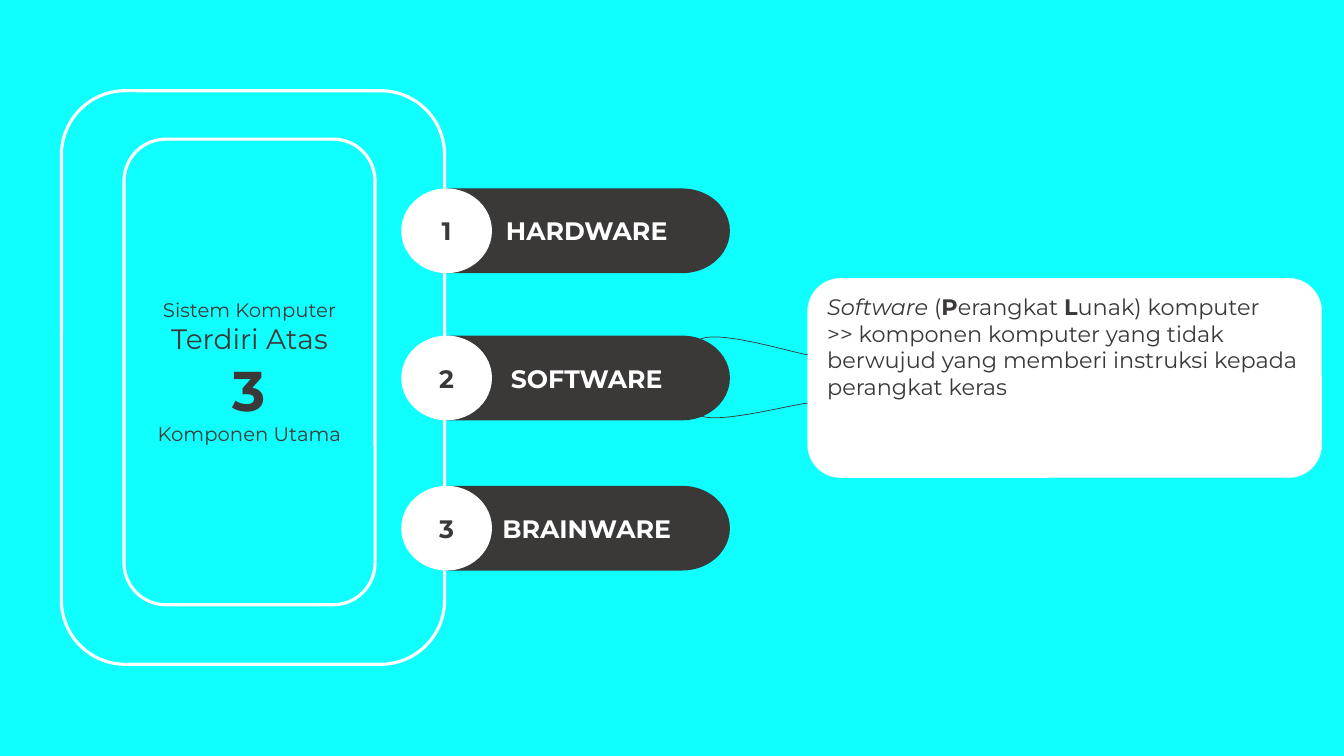
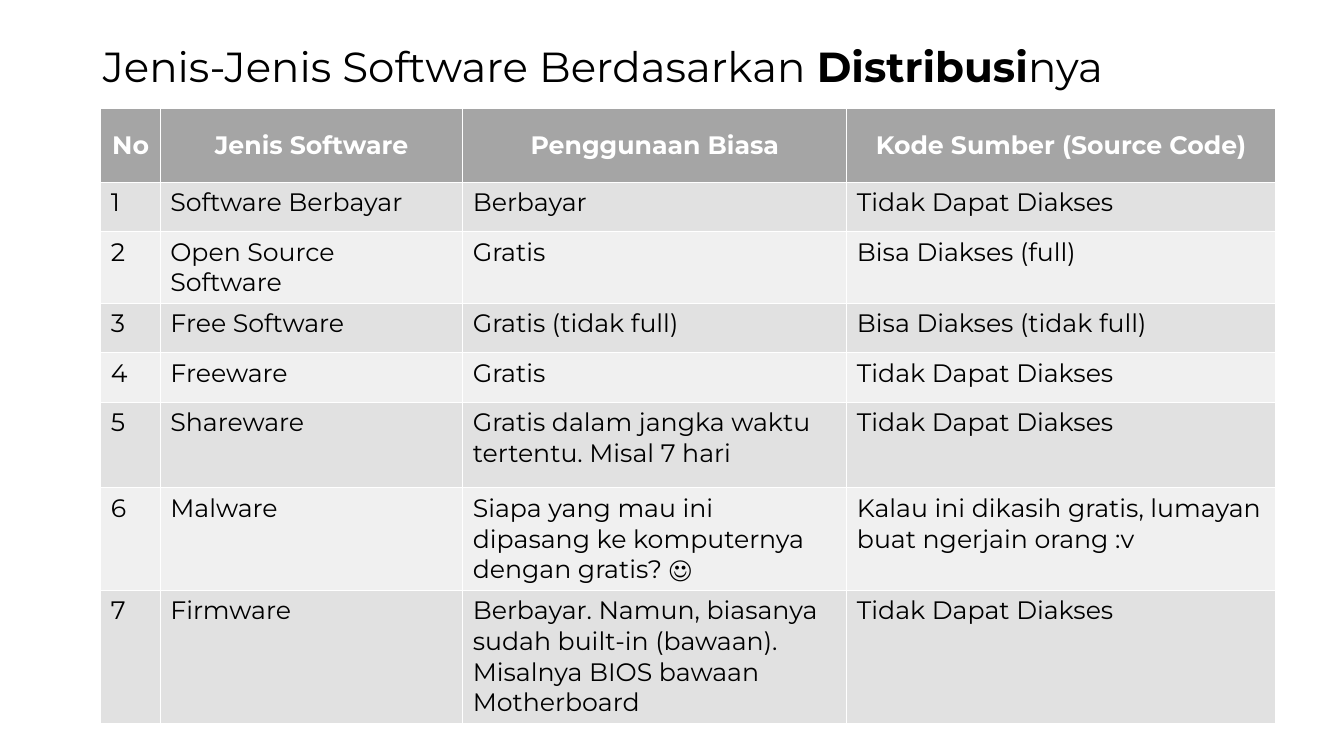
from pptx import Presentation
from pptx.dml.color import RGBColor
from pptx.enum.shapes import MSO_SHAPE
from pptx.enum.text import MSO_ANCHOR, MSO_AUTO_SIZE, PP_ALIGN
from pptx.util import Inches, Pt

CYAN = RGBColor(0x0F, 0xFF, 0xFF)
WHITE = RGBColor(0xFF, 0xFF, 0xFF)
BLACK = RGBColor(0x00, 0x00, 0x00)
DARK = RGBColor(0x3B, 0x38, 0x38)
PALE = RGBColor(0xF2, 0xF2, 0xF2)
HEADER = RGBColor(0xA5, 0xA5, 0xA5)
BANDS = [RGBColor(0xE1, 0xE1, 0xE1), RGBColor(0xF0, 0xF0, 0xF0)]
FONT = "Montserrat"


def write(tf, paragraphs, size, color, align=PP_ALIGN.LEFT, anchor=MSO_ANCHOR.MIDDLE):
    """Fill a text frame; each paragraph is a list of (text, font overrides)."""
    tf.word_wrap = True
    tf.vertical_anchor = anchor
    for i, runs in enumerate(paragraphs):
        p = tf.add_paragraph() if i else tf.paragraphs[0]
        p.alignment = align
        for text, overrides in runs:
            r = p.add_run()
            r.text = text
            r.font.color.rgb = color
            style = {"name": FONT, "size": Pt(size), "bold": False} | overrides
            for name, value in style.items():
                setattr(r.font, name, value)


def add_box(s, kind, left, top, width, height, fill, line=None, line_width=0):
    sp = s.shapes.add_shape(kind, Inches(left), Inches(top), Inches(width), Inches(height))
    sp.shadow.inherit = False
    sp.fill.solid()
    sp.fill.fore_color.rgb = fill
    if line is None:
        sp.line.fill.background()
    else:
        sp.line.color.rgb = line
        sp.line.width = Pt(line_width)
    return sp


prs = Presentation()
prs.slide_width, prs.slide_height = Inches(13.33), Inches(7.5)
bold, italic = {"bold": True}, {"italic": True}

# Slide 1: the three components of a computer system
s = prs.slides.add_slide(prs.slide_layouts[6])
s.background.fill.solid()
s.background.fill.fore_color.rgb = CYAN

add_box(s, MSO_SHAPE.ROUNDED_RECTANGLE, 0.61, 0.9, 3.8, 5.69, CYAN, WHITE, 2.25)
panel = add_box(s, MSO_SHAPE.ROUNDED_RECTANGLE, 1.23, 1.38, 2.49, 4.62, CYAN, WHITE, 2.25)
write(panel.text_frame, [
    [("Sistem Komputer", {})],
    [("Terdiri Atas", {"size": Pt(20)})],
    [("3", {"size": Pt(40), "bold": True})],
    [("Komponen Utama", {})],
], 14, DARK, PP_ALIGN.CENTER)

components = [("HARDWARE", 1.87), ("SOFTWARE", 3.33), ("BRAINWARE", 4.82)]
for number, (label, top) in enumerate(components, 1):
    pill = add_box(s, MSO_SHAPE.FLOWCHART_STORED_DATA, 4.4, top, 2.84, 0.84, DARK)
    pill._element.spPr.xfrm.set("flipH", "1")
    pill.text_frame.margin_left = pill.text_frame.margin_right = 0
    write(pill.text_frame, [[(label, bold)]], 18, WHITE, PP_ALIGN.CENTER)
    badge = add_box(s, MSO_SHAPE.OVAL, 3.98, top, 0.9, 0.84, WHITE)
    write(badge.text_frame, [[(str(number), bold)]], 18, DARK, PP_ALIGN.CENTER)

callout = add_box(s, MSO_SHAPE.ROUNDED_RECTANGLE, 8.01, 2.76, 5.1, 1.98, WHITE, PALE, 0.25)
write(callout.text_frame, [
    [("Software", italic), (" (", {}), ("P", bold), ("erangkat ", {}),
     ("L", bold), ("unak) komputer", {})],
    [(">> komponen komputer yang tidak berwujud yang memberi instruksi kepada "
      "perangkat keras", {})],
], 16, DARK, anchor=MSO_ANCHOR.TOP)

# Callout tails: two joined cubic Bézier curves each, drawn in short steps
tails = [
    [(6.81, 4), (6.78, 3.72), (6.76, 3.45), (6.96, 3.36), (7.16, 3.28), (7.87, 3.5), (8.01, 3.52)],
    [(6.81, 3.6), (6.78, 3.83), (6.76, 4.06), (6.96, 4.13), (7.16, 4.2), (7.87, 4.01), (8.01, 4)],
]
STEPS = 16
for controls in tails:
    points = []
    for first in (0, 3):
        for step in range(1, STEPS + 1):
            t = step / STEPS
            weights = [(1 - t) ** 3, 3 * t * (1 - t) ** 2, 3 * t ** 2 * (1 - t), t ** 3]
            points.append([Inches(sum(w * c[axis] for w, c in zip(weights, controls[first:first + 4])))
                           for axis in (0, 1)])
    x, y = controls[0]
    builder = s.shapes.build_freeform(Inches(x), Inches(y))
    builder.add_line_segments(points, close=False)
    tail = builder.convert_to_shape()
    tail.shadow.inherit = False
    tail.fill.background()
    tail.line.color.rgb = DARK
    tail.line.width = Pt(0.5)

# Slide 2: kinds of software by distribution
s = prs.slides.add_slide(prs.slide_layouts[5])
s.background.fill.solid()
s.background.fill.fore_color.rgb = WHITE
title = s.shapes.title
title.left, title.top, title.width, title.height = (Inches(v) for v in (0.92, 0.28, 11.5, 0.8))
title.text_frame.auto_size = MSO_AUTO_SIZE.NONE
write(title.text_frame, [[("Jenis-Jenis Software Berdasarkan ", {}), ("Distribusi", bold), ("nya", {})]],
      30, BLACK)
title.text_frame.paragraphs[0].line_spacing = 0.9

rows = [
    ("No", "Jenis Software", "Penggunaan Biasa", "Kode Sumber (Source Code)"),
    ("1", "Software Berbayar", "Berbayar", "Tidak Dapat Diakses"),
    ("2", "Open Source Software", "Gratis", "Bisa Diakses (full)"),
    ("3", "Free Software", "Gratis (tidak full)", "Bisa Diakses (tidak full)"),
    ("4", "Freeware", "Gratis", "Tidak Dapat Diakses"),
    ("5", "Shareware", "Gratis dalam jangka waktu tertentu. Misal 7 hari", "Tidak Dapat Diakses"),
    ("6", "Malware", "Siapa yang mau ini dipasang ke komputernya dengan gratis? ☺",
     "Kalau ini dikasih gratis, lumayan buat ngerjain orang :v"),
    ("7", "Firmware",
     "Berbayar. Namun, biasanya sudah built-in (bawaan). Misalnya BIOS bawaan Motherboard",
     "Tidak Dapat Diakses"),
]
heights = [0.73, 0.49, 0.71, 0.49, 0.49, 0.85, 1.01, 1.31]
widths = [0.59, 3, 3.81, 4.25]
table = s.shapes.add_table(len(rows), len(widths), Inches(1), Inches(1.08),
                           Inches(sum(widths)), Inches(sum(heights))).table
for column, width in zip(table.columns, widths):
    column.width = Inches(width)
for i, (texts, height) in enumerate(zip(rows, heights)):
    table.rows[i].height = Inches(height)
    for cell, text in zip(table.rows[i].cells, texts):
        cell.fill.solid()
        cell.fill.fore_color.rgb = BANDS[(i - 1) % 2] if i else HEADER
        if i:
            write(cell.text_frame, [[(text, {})]], 18, BLACK)
        else:
            write(cell.text_frame, [[(text, bold)]], 18, WHITE, PP_ALIGN.CENTER)
        cell.vertical_anchor = MSO_ANCHOR.TOP if i else MSO_ANCHOR.MIDDLE

prs.save("out.pptx")
